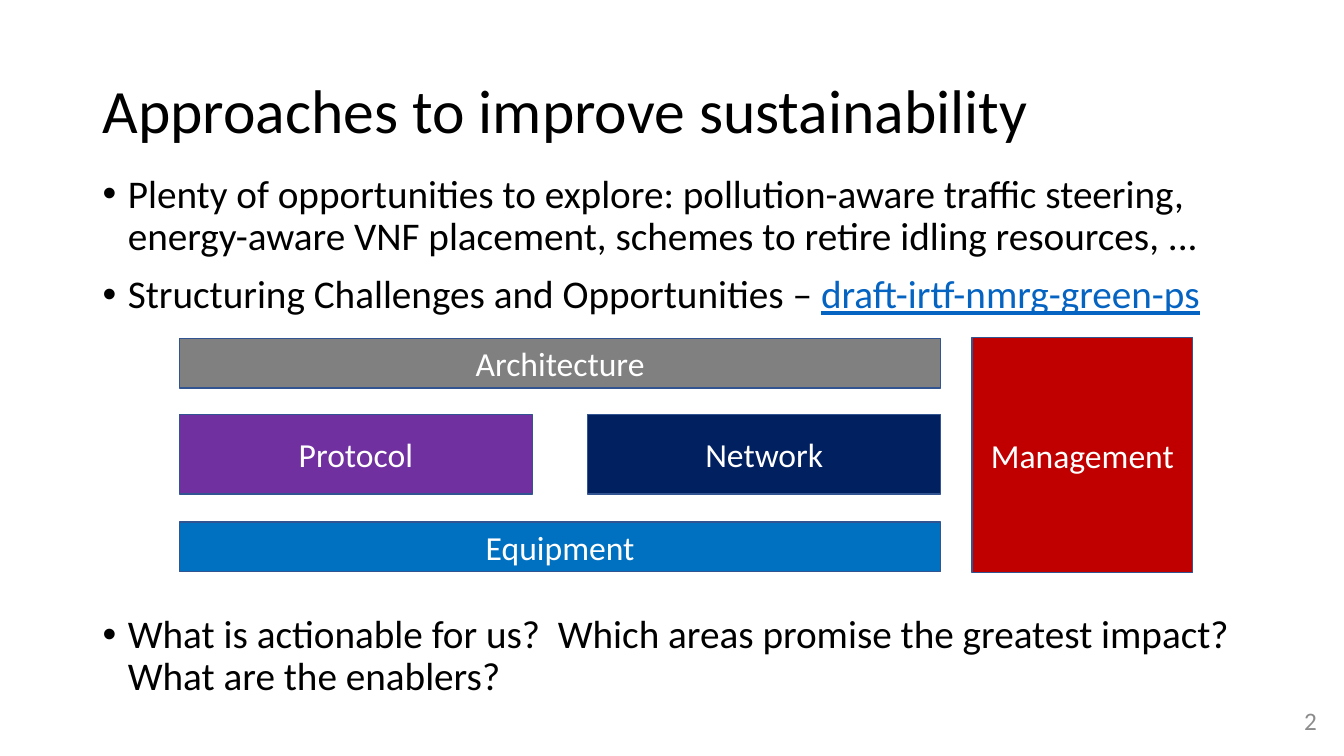
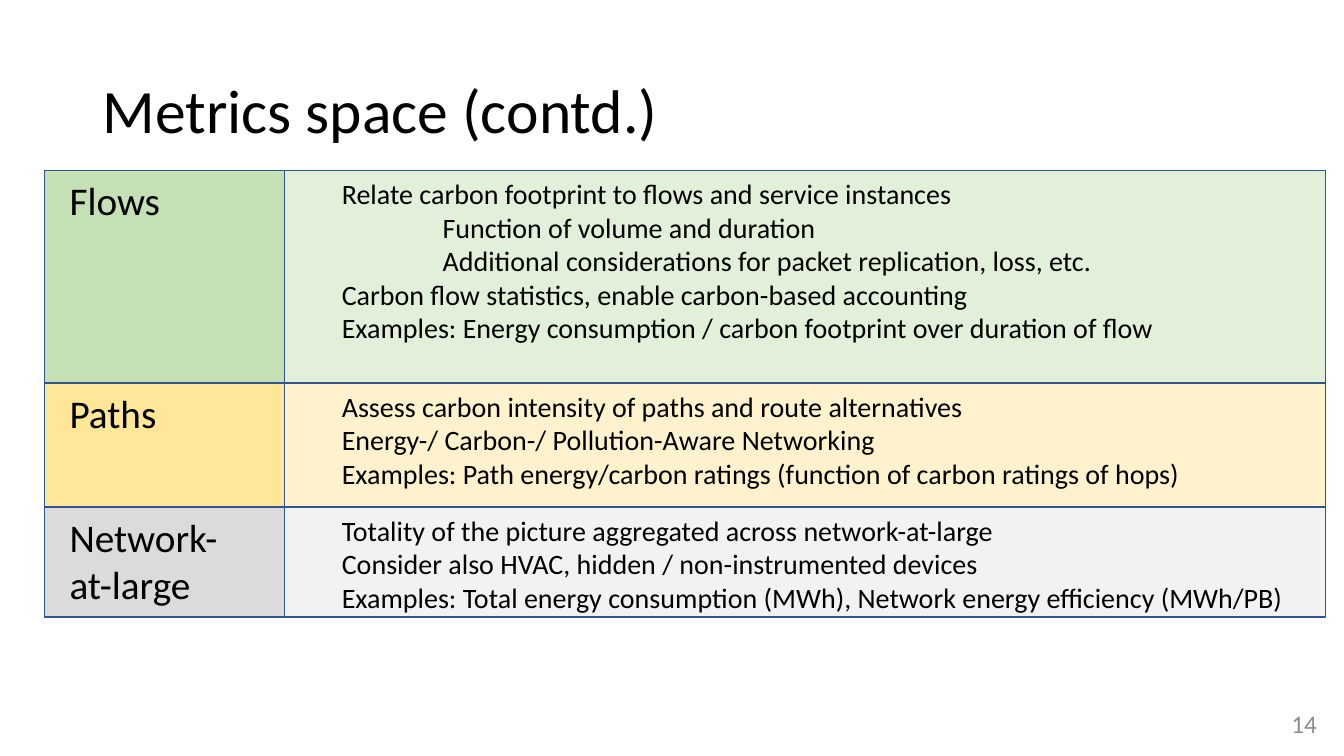
from dataclasses import dataclass
from lxml import etree
from pptx import Presentation
from pptx import util as u
from pptx.dml.color import RGBColor
from pptx.enum import shapes, text
from pptx.oxml.ns import qn


@dataclass(frozen=True)
class Theme:
    font: str = "Calibri"
    ink: str = "000000"
    light: str = "FFFFFF"
    muted: str = "8C8C8C"
    link: str = "0563C1"
    outline: str = "325491"
    title: int = 44
    body: int = 28
    block: int = 24
    detail: int = 20
    number: int = 18


THEME = Theme()
MARGIN, CONTENT_WIDTH = 0.92, 11.5

APPROACHES = "Approaches to improve sustainability"
BULLETS = [
    (1.68, 1.01, "Plenty of opportunities to explore: pollution-aware traffic steering, "
     "energy-aware VNF placement, schemes to retire idling resources, ...", ""),
    (2.68, 0.58, "Structuring Challenges and Opportunities – ", "draft-irtf-nmrg-green-ps"),
    (6.05, 1.2, "What is actionable for us?  Which areas promise the greatest impact?  "
     "What are the enablers?", ""),
]
LAYERS = [
    (3.36, 0.49, [("Architecture", "808080")]),
    (4.11, 0.79, [("Protocol", "7030A0"), ("Network", "002060")]),
    (5.18, 0.49, [("Equipment", "0070C0")]),
]
LAYERS_LEFT, LAYERS_WIDTH, LAYER_GAP = 1.78, 7.55, 0.55
MANAGEMENT = ("Management", "C00000", (9.64, 3.35, 2.19, 2.33))

METRICS = "Metrics space (contd.)"
METRIC_ROWS = [
    ("Flows", 2.11, "C5E0B4", "E2F0D9", [
        (0, "Relate carbon footprint to flows and service instances"),
        (1, "Function of volume and duration"),
        (1, "Additional considerations for packet replication, loss, etc."),
        (0, "Carbon flow statistics, enable carbon-based accounting"),
        (0, "Examples: Energy consumption / carbon footprint over duration of flow"),
    ]),
    ("Paths", 1.23, "FFE699", "FFF2CC", [
        (0, "Assess carbon intensity of paths and route alternatives"),
        (0, "Energy-/ Carbon-/ Pollution-Aware Networking"),
        (0, "Examples: Path energy/carbon ratings (function of carbon ratings of hops)"),
    ]),
    ("Network-\vat-large", 1.09, "DBDBDB", "F2F2F2", [
        (0, "Totality of the picture aggregated across network-at-large"),
        (0, "Consider also HVAC, hidden / non-instrumented devices"),
        (0, "Examples: Total energy consumption (MWh), Network energy efficiency (MWh/PB)"),
    ]),
]
METRICS_LEFT, METRICS_TOP = 0.44, 1.69
LABEL_WIDTH, DETAIL_WIDTH = 2.38, 10.33


def inches(*lengths):
    return [u.Inches(length) for length in lengths]


def style(para, size, color, align=text.PP_ALIGN.LEFT):
    para.alignment = align
    para.font.name = THEME.font
    para.font.size = u.Pt(size)
    para.font.color.rgb = RGBColor.from_string(color)


def indent(para, left, first=0):
    properties = para._p.get_or_add_pPr()
    properties.set("marL", str(u.Inches(left)))
    properties.set("indent", str(u.Inches(first)))
    return properties


def add_text(page, place, words, size, color=THEME.ink,
             align=text.PP_ALIGN.LEFT, anchor=text.MSO_ANCHOR.TOP):
    frame = page.shapes.add_textbox(*inches(*place)).text_frame
    frame.word_wrap = True
    frame.vertical_anchor = anchor
    para = frame.paragraphs[0]
    para.text = words
    style(para, size, color, align)
    return para


def add_bullet(page, top, height, words, link):
    para = add_text(page, (MARGIN, top, CONTENT_WIDTH, height), words, THEME.body)
    para.line_spacing = 0.9
    para.space_before = u.Pt(10)
    properties = indent(para, 0.25, -0.25)
    etree.SubElement(properties, qn("a:buFont")).set("typeface", "Arial")
    etree.SubElement(properties, qn("a:buChar")).set("char", "•")
    properties.append(properties.find(qn("a:defRPr")))
    if link:
        span = para.add_run()
        span.text = link
        span.font.underline = True
        span.font.color.rgb = RGBColor.from_string(THEME.link)


def add_box(page, place, fill):
    box = page.shapes.add_shape(shapes.MSO_SHAPE.RECTANGLE, *inches(*place))
    box.shadow.inherit = False
    box.fill.solid()
    box.fill.fore_color.rgb = RGBColor.from_string(fill)
    box.line.color.rgb = RGBColor.from_string(THEME.outline)
    box.line.width = u.Pt(1)
    box.text_frame.word_wrap = True
    return box.text_frame


def add_block(page, place, name, fill):
    frame = add_box(page, place, fill)
    frame.vertical_anchor = text.MSO_ANCHOR.MIDDLE
    frame.text = name
    style(frame.paragraphs[0], THEME.block, THEME.light, text.PP_ALIGN.CENTER)


def add_cell(page, place, fill, inset, size, lines):
    frame = add_box(page, place, fill)
    frame.vertical_anchor = text.MSO_ANCHOR.TOP
    frame.margin_left, frame.margin_top = inches(inset, 0.06)
    for index, (level, words) in enumerate(lines):
        para = frame.add_paragraph() if index else frame.paragraphs[0]
        para.text = words
        style(para, size, THEME.ink)
        indent(para, level)


def add_page(deck, title, number, number_top):
    page = deck.slides.add_slide(deck.slide_layouts[6])
    para = add_text(page, (MARGIN, 0.4, CONTENT_WIDTH, 1.45), title, THEME.title,
                    anchor=text.MSO_ANCHOR.MIDDLE)
    para.line_spacing = 0.9
    add_text(page, (9.42, number_top, 3.74, 0.4), number, THEME.number, THEME.muted,
             text.PP_ALIGN.RIGHT, text.MSO_ANCHOR.MIDDLE)
    return page


def build_approaches(deck):
    page = add_page(deck, APPROACHES, "2", 6.95)
    for bullet in BULLETS:
        add_bullet(page, *bullet)
    for top, height, blocks in LAYERS:
        width = (LAYERS_WIDTH - LAYER_GAP * (len(blocks) - 1)) / len(blocks)
        for column, (name, fill) in enumerate(blocks):
            left = LAYERS_LEFT + column * (width + LAYER_GAP)
            add_block(page, (left, top, width, height), name, fill)
    name, fill, place = MANAGEMENT
    add_block(page, place, name, fill)


def build_metrics(deck):
    page = add_page(deck, METRICS, "14", 6.98)
    top = METRICS_TOP
    for label, height, label_fill, detail_fill, lines in METRIC_ROWS:
        add_cell(page, (METRICS_LEFT + LABEL_WIDTH, top, DETAIL_WIDTH, height),
                 detail_fill, 0.57, THEME.detail, lines)
        add_cell(page, (METRICS_LEFT, top, LABEL_WIDTH, height),
                 label_fill, 0.25, THEME.body, [(0, label)])
        top += height


deck = Presentation()
deck.slide_width, deck.slide_height = inches(13.33, 7.5)
build_approaches(deck)
build_metrics(deck)
deck.save("out.pptx")
